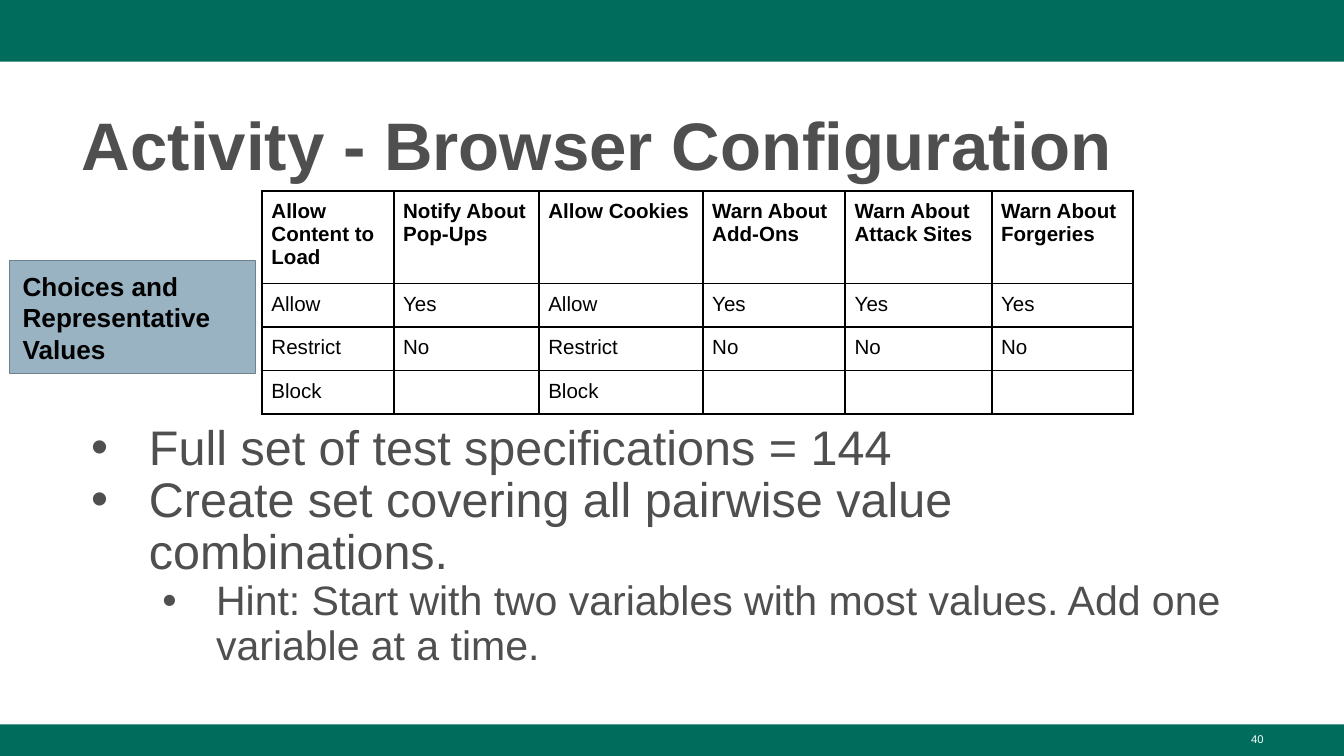
from lxml import etree
from pptx import Presentation
from pptx.dml.color import RGBColor
from pptx.enum.shapes import MSO_SHAPE
from pptx.enum.text import MSO_ANCHOR, PP_ALIGN
from pptx.oxml.ns import qn
from pptx.util import Inches, Pt

RECTANGLE = MSO_SHAPE.RECTANGLE
TOP, MIDDLE = MSO_ANCHOR.TOP, MSO_ANCHOR.MIDDLE
LEFT, RIGHT = PP_ALIGN.LEFT, PP_ALIGN.RIGHT
FONT = "Arial"
COLORS = {"green": "006C5C", "gray": "4F4F4F", "black": "000000", "white": "FFFFFF",
          "label": "99B3C2", "label_line": "6F828C"}

# Content
TITLE = "Activity - Browser Configuration"
LABEL = "Choices and Representative Values"
PAGE_NUMBER = "40"
BULLETS = [  # level, text
    (0, "Full set of test specifications = 144"),
    (0, "Create set covering all pairwise value combinations."),
    (1, "Hint: Start with two variables with most values. Add one variable at a time."),
]
BULLET_LEVELS = [  # text indent, hanging indent, size
    (0.5, -0.43, 26),
    (1, -0.4, 22),
]
OPTIONS = [
    ("Allow Content to Load", "Notify About Pop-Ups", "Allow Cookies",
     "Warn About Add-Ons", "Warn About Attack Sites", "Warn About Forgeries"),
    ("Allow", "Yes", "Allow", "Yes", "Yes", "Yes"),
    ("Restrict", "No", "Restrict", "No", "No", "No"),
    ("Block", "", "Block", "", "", ""),
]
COLUMN_WIDTHS = [0.98, 1.08, 1.22, 1.06, 1.09, 1.05]
ROW_HEIGHT = 0.01  # rows grow to fit their text


def color(name):
    return RGBColor.from_string(COLORS[name])


def set_font(paragraph, size, color_name, bold=False):
    font = paragraph.font
    font.name, font.size, font.bold = FONT, Pt(size), bold
    font.color.rgb = color(color_name)


def set_frame(frame, horizontal=0.1, vertical=0.05, anchor=TOP):
    frame.word_wrap = True
    frame.vertical_anchor = anchor
    frame.margin_left = frame.margin_right = Inches(horizontal)
    frame.margin_top = frame.margin_bottom = Inches(vertical)


def add_rectangle(slide, box, fill, line=None):
    shape = slide.shapes.add_shape(RECTANGLE, *map(Inches, box))
    shape.shadow.inherit = False
    shape.fill.solid()
    shape.fill.fore_color.rgb = color(fill)
    if line:
        shape.line.color.rgb = color(line)
        shape.line.width = Pt(0.75)
    else:
        shape.line.fill.background()
    return shape


def add_bullet(paragraph, indent, hanging):
    properties = paragraph._p.get_or_add_pPr()
    properties.set("marL", str(Inches(indent)))
    properties.set("indent", str(Inches(hanging)))
    bullet_color = etree.SubElement(properties, qn("a:buClr"))
    etree.SubElement(bullet_color, qn("a:srgbClr"), val=COLORS["gray"])
    etree.SubElement(properties, qn("a:buFont"), typeface=FONT)
    etree.SubElement(properties, qn("a:buChar"), char="•")


def add_borders(cell):
    properties = cell._tc.get_or_add_tcPr()
    for position, side in enumerate(("a:lnL", "a:lnR", "a:lnT", "a:lnB")):
        line = etree.Element(qn(side), w=str(Pt(1)))
        fill = etree.SubElement(line, qn("a:solidFill"))
        etree.SubElement(fill, qn("a:srgbClr"), val=COLORS["black"])
        properties.insert(position, line)


presentation = Presentation()
presentation.slide_width = Inches(10)
presentation.slide_height = Inches(10) * 9 // 16
slide = presentation.slides.add_slide(presentation.slide_layouts[5])

# Top and bottom bands
add_rectangle(slide, (0, 0, 10, 0.46), "green")
add_rectangle(slide, (0, 5.39, 10, 0.24), "green")

# Page number
number_box = slide.shapes.add_textbox(*map(Inches, (7.17, 5.4, 2.33, 0.23)))
set_frame(number_box.text_frame)
paragraph = number_box.text_frame.paragraphs[0]
paragraph.text = PAGE_NUMBER
paragraph.alignment = RIGHT
set_font(paragraph, 6, "white")

# Title
title = slide.shapes.title
title.left, title.top, title.width, title.height = map(Inches, (0.51, 0.67, 8.99, 0.73))
title.text = TITLE
set_frame(title.text_frame)
paragraph = title.text_frame.paragraphs[0]
paragraph.alignment = LEFT
paragraph.line_spacing = 1.08
set_font(paragraph, 36, "gray", bold=True)

# Bulleted task
body = slide.shapes.add_textbox(*map(Inches, (0.51, 3.1, 8.95, 2.1)))
frame = body.text_frame
set_frame(frame)
for index, (level, text) in enumerate(BULLETS):
    paragraph = frame.add_paragraph() if index else frame.paragraphs[0]
    indent, hanging, size = BULLET_LEVELS[level]
    paragraph.text = text
    paragraph.level = level
    add_bullet(paragraph, indent, hanging)
    paragraph.line_spacing = 0.9
    set_font(paragraph, size, "gray")

# Table of options and values
table = slide.shapes.add_table(
    len(OPTIONS), len(COLUMN_WIDTHS), Inches(1.95), Inches(1.42),
    Inches(sum(COLUMN_WIDTHS)), Inches(ROW_HEIGHT * len(OPTIONS))).table
table.horz_banding = False
for column, width in zip(table.columns, COLUMN_WIDTHS):
    column.width = Inches(width)
for row_index, (row, texts) in enumerate(zip(table.rows, OPTIONS)):
    row.height = Inches(ROW_HEIGHT)
    for cell, text in zip(row.cells, texts):
        cell.text = text
        cell.margin_left = cell.margin_right = Inches(0.07)
        cell.margin_top = cell.margin_bottom = Inches(0.07)
        cell.fill.background()
        add_borders(cell)
        set_font(cell.text_frame.paragraphs[0], 11, "black", bold=row_index == 0)

# Table label
label = add_rectangle(slide, (0.07, 1.94, 1.83, 0.84), "label", "label_line")
set_frame(label.text_frame, vertical=0.1, anchor=MIDDLE)
paragraph = label.text_frame.paragraphs[0]
paragraph.text = LABEL
paragraph.alignment = LEFT
set_font(paragraph, 14, "black", bold=True)

presentation.save("out.pptx")
